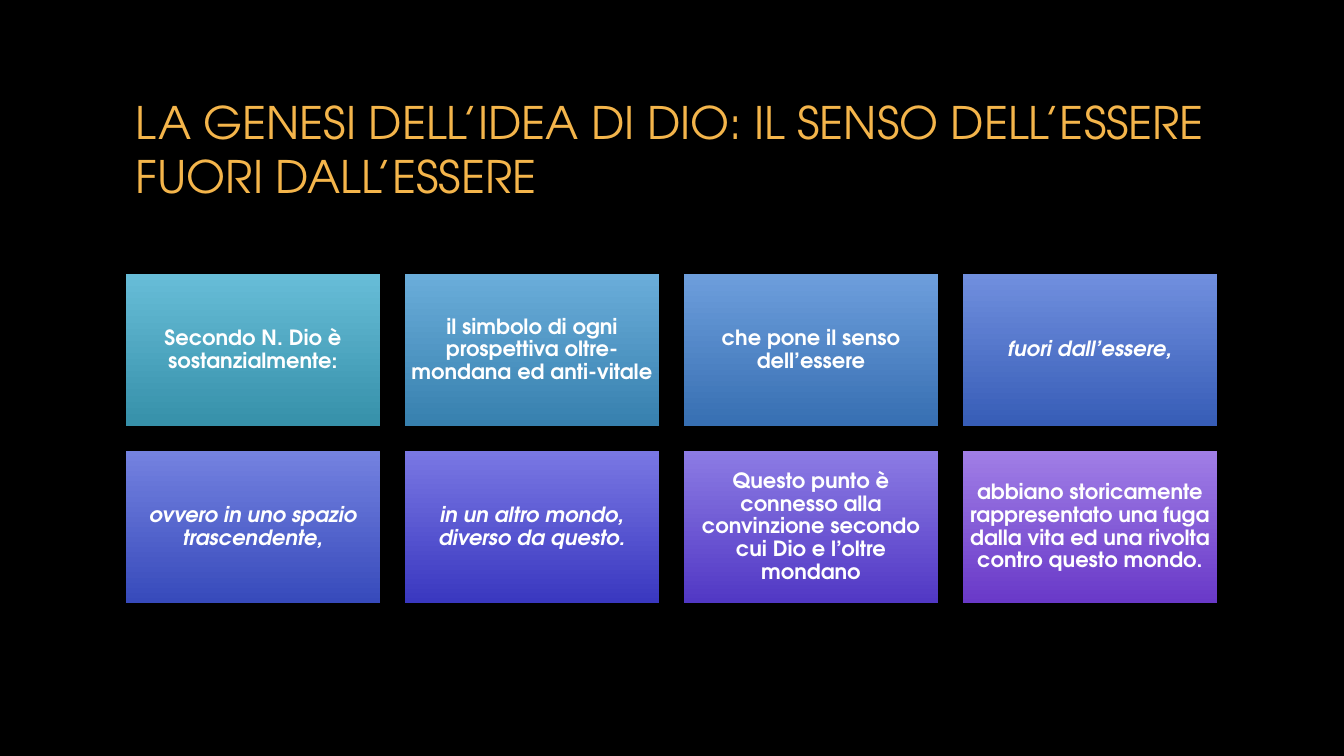
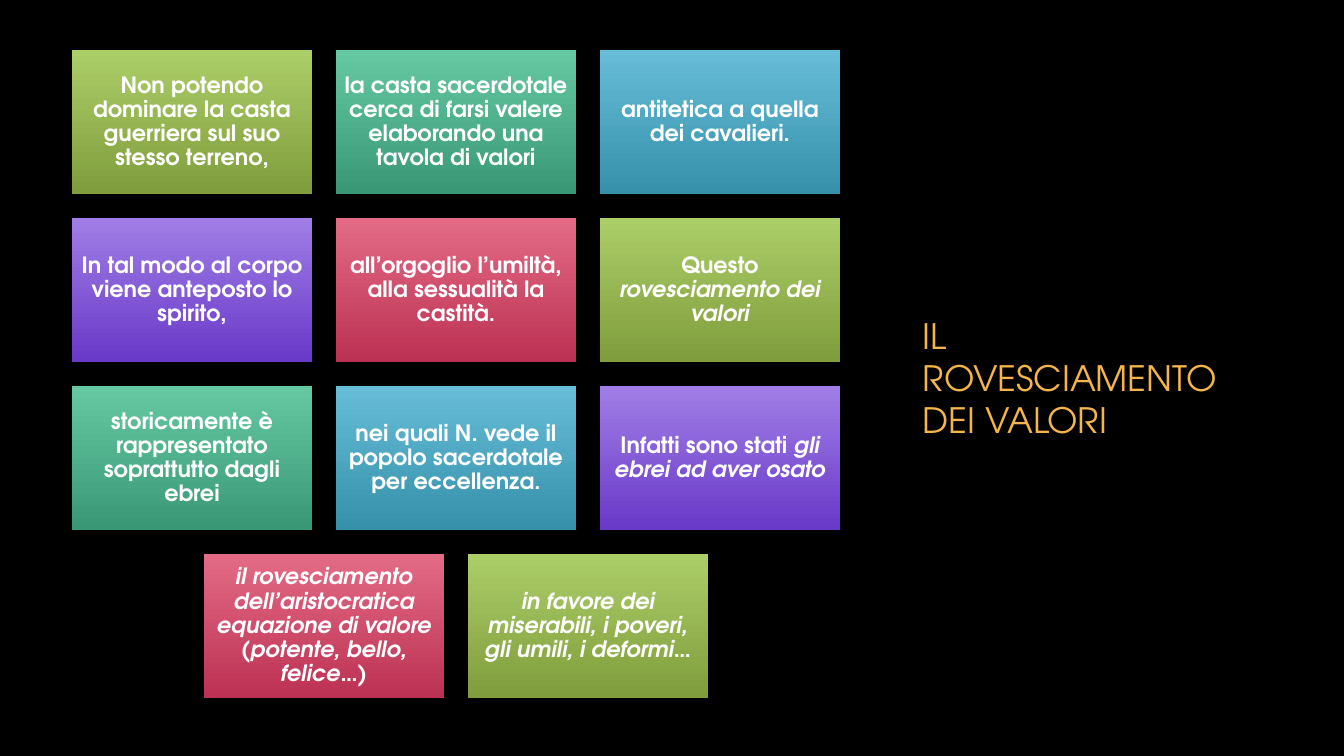
from pptx import Presentation
from pptx.dml.color import RGBColor
from pptx.enum import shapes, text
from pptx.util import Pt

PX = 914400 / 100.8
FONT = "TeX Gyre Adventor"
BLACK = RGBColor(0x00, 0x00, 0x00)
WHITE = RGBColor(0xFF, 0xFF, 0xFF)
GOLD = RGBColor(0xF4, 0xB5, 0x4B)

# Tile gradients: top colour, bottom colour
TEAL = RGBColor(0x67, 0xBD, 0xD8), RGBColor(0x36, 0x90, 0xA9)
SKY = RGBColor(0x6A, 0xAD, 0xDA), RGBColor(0x37, 0x80, 0xAE)
AZURE = RGBColor(0x6D, 0x9E, 0xDC), RGBColor(0x37, 0x6F, 0xB2)
BLUE = RGBColor(0x70, 0x8F, 0xDE), RGBColor(0x37, 0x5D, 0xB7)
COBALT = RGBColor(0x74, 0x82, 0xE0), RGBColor(0x37, 0x4A, 0xBB)
INDIGO = RGBColor(0x79, 0x77, 0xE3), RGBColor(0x3A, 0x38, 0xC0)
VIOLET = RGBColor(0x8C, 0x7B, 0xE4), RGBColor(0x51, 0x38, 0xC4)
PURPLE = RGBColor(0xA0, 0x7E, 0xE6), RGBColor(0x69, 0x39, 0xC8)
LIME = RGBColor(0xAC, 0xCE, 0x68), RGBColor(0x7F, 0x9D, 0x3C)
GREEN = RGBColor(0x65, 0xC8, 0xA3), RGBColor(0x3A, 0x97, 0x76)
ROSE = RGBColor(0xE3, 0x6B, 0x86), RGBColor(0xBC, 0x31, 0x53)

# Each tile: upright words, italic words that follow, gradient
GENESIS_TILES = [
    ("Secondo N. Dio è sostanzialmente:", "", TEAL),
    ("il simbolo di ogni prospettiva oltre-mondana ed anti-vitale", "", SKY),
    ("che pone il senso dell’essere", "", AZURE),
    ("", "fuori dall’essere,", BLUE),
    ("", "ovvero in uno spazio trascendente,", COBALT),
    ("", "in un altro mondo, diverso da questo.", INDIGO),
    ("Questo punto è connesso alla convinzione secondo cui Dio e l’oltre mondano", "", VIOLET),
    ("abbiano storicamente rappresentato una fuga dalla vita ed una rivolta contro questo mondo.",
     "", PURPLE),
]
REVERSAL_TILES = [
    ("Non potendo dominare la casta guerriera sul suo stesso terreno,", "", LIME),
    ("la casta sacerdotale cerca di farsi valere elaborando una tavola di valori", "", GREEN),
    ("antitetica a quella dei cavalieri.", "", TEAL),
    ("In tal modo al corpo viene anteposto lo spirito,", "", PURPLE),
    ("all’orgoglio l’umiltà, alla sessualità la castità.", "", ROSE),
    ("Questo ", "rovesciamento dei valori", LIME),
    ("storicamente è rappresentato soprattutto dagli ebrei", "", GREEN),
    ("nei quali N. vede il popolo sacerdotale per eccellenza.", "", TEAL),
    ("Infatti sono stati ", "gli ebrei ad aver osato", PURPLE),
    ("", "il rovesciamento dell’aristocratica equazione di valore (potente, bello, felice…)", ROSE),
    ("", "in favore dei miserabili, i poveri, gli umili, i deformi…", LIME),
]

prs = Presentation()
prs.slide_width, prs.slide_height = round(1344 * PX), round(756 * PX)


def add_titled_slide(title, box, size):
    slide = prs.slides.add_slide(prs.slide_layouts[6])
    slide.background.fill.solid()
    slide.background.fill.fore_color.rgb = BLACK
    frame = slide.shapes.add_textbox(*(round(v * PX) for v in box)).text_frame
    frame.word_wrap = True
    frame.vertical_anchor = text.MSO_ANCHOR.MIDDLE
    frame.text = title
    font = frame.paragraphs[0].runs[0].font
    font.name, font.size, font.color.rgb = FONT, Pt(size), GOLD
    return slide


def add_tile_grid(slide, tiles, columns, left, top, width, height, gap, inset, size):
    """Fill rows from the left; a short last row is centred."""
    for i, (upright, italic, (upper, lower)) in enumerate(tiles):
        row, column = divmod(i, columns)
        missing = columns - min(columns, len(tiles) - row * columns)
        x = left + (column + missing / 2) * (width + gap)
        y = top + row * (height + gap)
        tile = slide.shapes.add_shape(shapes.MSO_SHAPE.RECTANGLE,
                                      *(round(v * PX) for v in (x, y, width, height)))
        tile.shadow.inherit = False
        tile.line.fill.background()
        tile.fill.gradient()
        tile.fill.gradient_angle = 270
        for stop, color in zip(tile.fill.gradient_stops, (upper, lower)):
            stop.color.rgb = color
            stop.position = 0 if color is upper else 1

        frame = tile.text_frame
        frame.word_wrap = True
        frame.vertical_anchor = text.MSO_ANCHOR.MIDDLE
        frame.margin_left = frame.margin_right = round(inset * PX)
        frame.margin_top = frame.margin_bottom = round(inset * PX)
        paragraph = frame.paragraphs[0]
        paragraph.alignment = text.PP_ALIGN.CENTER
        paragraph.line_spacing = 0.9
        for words, slanted in ((upright, False), (italic, True)):
            if words:
                run = paragraph.add_run()
                run.text = words
                run.font.name, run.font.size = FONT, Pt(size)
                run.font.bold, run.font.italic = True, slanted
                run.font.color.rgb = WHITE


genesis = add_titled_slide("LA GENESI DELL’IDEA DI DIO: IL SENSO DELL’ESSERE FUORI DALL’ESSERE",
                           (126, 68, 1092, 162), 32)
add_tile_grid(genesis, GENESIS_TILES, columns=4, left=126, top=274,
              width=254, height=152, gap=25, inset=6, size=15)

reversal = add_titled_slide("IL ROVESCIAMENTO DEI VALORI", (913, 71, 329, 614), 25)
add_tile_grid(reversal, REVERSAL_TILES, columns=3, left=72, top=50,
              width=240, height=144, gap=24, inset=7, size=16)

prs.save("out.pptx")
